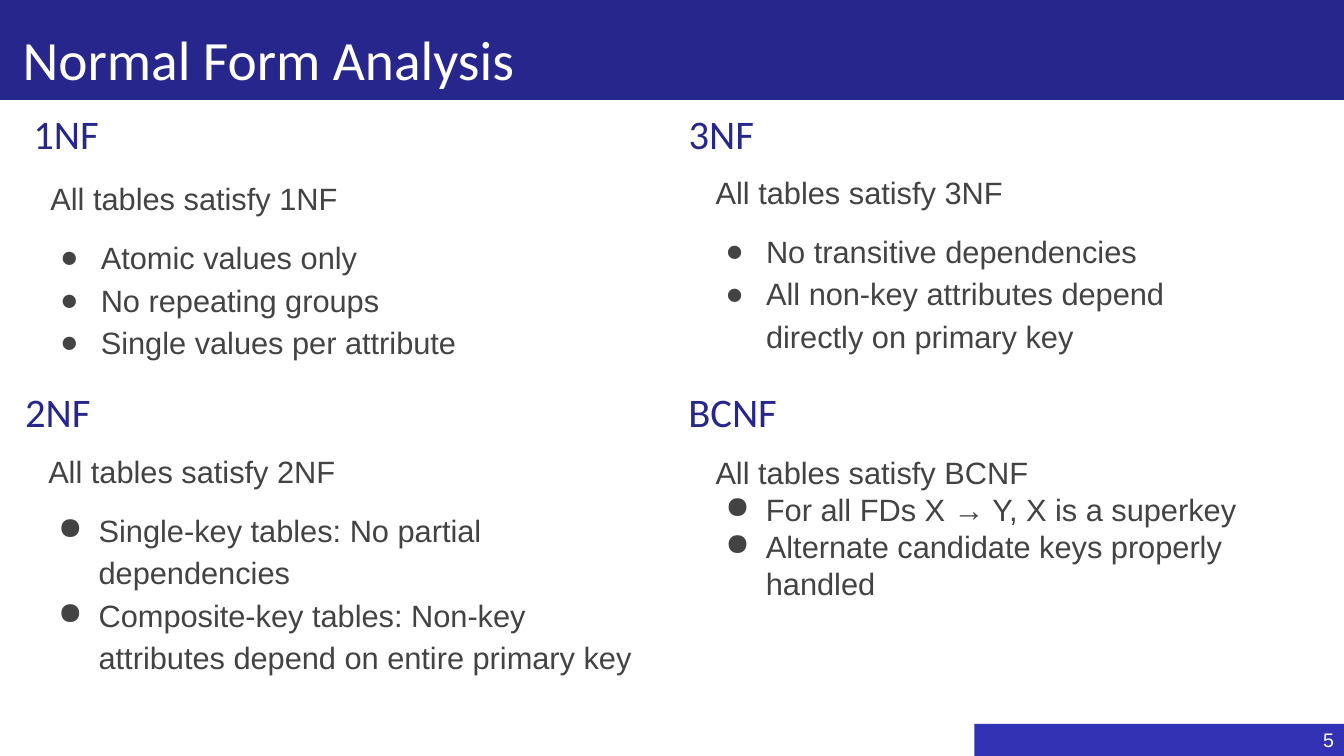
from dataclasses import dataclass

from lxml.etree import SubElement
from pptx import Presentation
from pptx.dml.color import RGBColor
from pptx.enum.shapes import MSO_SHAPE
from pptx.enum.text import MSO_ANCHOR, MSO_AUTO_SIZE, PP_ALIGN
from pptx.oxml.ns import qn
from pptx.util import Pt


@dataclass(frozen=True)
class Theme:
    navy: RGBColor = RGBColor(0x26, 0x26, 0x8C)
    indigo: RGBColor = RGBColor(0x33, 0x31, 0xB4)
    gray: RGBColor = RGBColor(0x43, 0x43, 0x43)
    white: RGBColor = RGBColor(0xFF, 0xFF, 0xFF)
    heading_font: str = "Calibri"
    body_font: str = "Arial"
    title_size: float = 39.6
    heading_size: float = 29
    body_size: float = 22
    number_size: float = 14


THEME = Theme()
WIDTH, HEIGHT = 960, 540

# Heading, heading box, list box, list line spacing, space before list, lines
SECTIONS = [
    ("1NF", (16.6, 70.6, 118.8, 58.3), (28.8, 121, 384.5, 141), 1.15, 12,
     ["All tables satisfy 1NF", "Atomic values only", "No repeating groups",
      "Single values per attribute"]),
    ("3NF", (484.6, 70.6, 196.6, 58.3), (504, 116.6, 376.6, 190), 1.15, 12,
     ["All tables satisfy 3NF", "No transitive dependencies",
      "All non-key attributes depend directly on primary key"]),
    ("2NF", (10.8, 269.3, 351.4, 47.5), (27.4, 316, 444.2, 214.6), 1.15, 12,
     ["All tables satisfy 2NF",
      "Single-key tables: No partial dependencies",
      "Composite-key tables: Non-key attributes depend on entire primary key"]),
    ("BCNF", (484.6, 269.3, 196.6, 47.5), (504, 316.8, 456, 121), 1, 0,
     ["All tables satisfy BCNF", "For all FDs X → Y, X is a superkey",
      "Alternate candidate keys properly handled"]),
]


def place(shape, box):
    shape.left, shape.top, shape.width, shape.height = map(Pt, box)


def set_frame(text_frame, margins, anchor):
    text_frame.word_wrap = True
    text_frame.auto_size = MSO_AUTO_SIZE.NONE
    text_frame.vertical_anchor = anchor
    (text_frame.margin_left, text_frame.margin_top,
     text_frame.margin_right, text_frame.margin_bottom) = map(Pt, margins)


def style_paragraph(paragraph, font, size, color, align=PP_ALIGN.LEFT,
                    spacing=1, before=0):
    paragraph.alignment = align
    paragraph.line_spacing = spacing
    paragraph.space_before = Pt(before)
    for run in paragraph.runs:
        run.font.name = font
        run.font.size = Pt(size)
        run.font.bold = False
        run.font.color.rgb = color


def set_bullet(paragraph, bulleted):
    properties = paragraph._p.get_or_add_pPr()
    properties.set("marL", str(Pt(36 if bulleted else 0)))
    properties.set("indent", str(Pt(-29 if bulleted else 0)))
    if bulleted:
        color = SubElement(properties, qn("a:buClr"))
        SubElement(color, qn("a:srgbClr"), val=str(THEME.gray))
        SubElement(properties, qn("a:buChar"), char="●")
    else:
        SubElement(properties, qn("a:buNone"))


def fill_title(shape, text):
    place(shape, (0, 0, WIDTH, 71.3))
    shape.fill.solid()
    shape.fill.fore_color.rgb = THEME.navy
    shape.text_frame.text = text
    set_frame(shape.text_frame, (16.2, 21.6, 7.2, 3.6), MSO_ANCHOR.MIDDLE)
    style_paragraph(shape.text_frame.paragraphs[0], THEME.heading_font,
                    THEME.title_size, THEME.white, spacing=0.9)


def fill_heading(shape, text, box):
    place(shape, box)
    shape.text_frame.text = text
    set_frame(shape.text_frame, (7.2,) * 4, MSO_ANCHOR.TOP)
    paragraph = shape.text_frame.paragraphs[0]
    set_bullet(paragraph, False)
    style_paragraph(paragraph, THEME.heading_font, THEME.heading_size, THEME.navy)


def fill_list(shape, lines, box, spacing, gap):
    place(shape, box)
    shape.text_frame.text = "\n".join(lines)
    set_frame(shape.text_frame, (7.2,) * 4, MSO_ANCHOR.TOP)
    for index, paragraph in enumerate(shape.text_frame.paragraphs):
        set_bullet(paragraph, index > 0)
        style_paragraph(paragraph, THEME.body_font, THEME.body_size, THEME.gray,
                        spacing=spacing if index else 1,
                        before=gap if index == 1 else 0)


def add_page_number(slide, number):
    shape = slide.shapes.add_shape(MSO_SHAPE.RECTANGLE, Pt(696), Pt(517),
                                   Pt(264), Pt(23))
    shape.shadow.inherit = False
    shape.fill.solid()
    shape.fill.fore_color.rgb = THEME.indigo
    shape.line.fill.background()
    shape.text_frame.text = number
    set_frame(shape.text_frame, (7.2, 3.6, 7.2, 3.6), MSO_ANCHOR.MIDDLE)
    style_paragraph(shape.text_frame.paragraphs[0], THEME.body_font,
                    THEME.number_size, THEME.white, PP_ALIGN.RIGHT)


def main():
    presentation = Presentation()
    presentation.slide_width, presentation.slide_height = Pt(WIDTH), Pt(HEIGHT)
    comparison_layout = presentation.slide_layouts[4]
    slide = presentation.slides.add_slide(comparison_layout)

    # Title band and page number
    fill_title(slide.shapes.title, "Normal Form Analysis")
    add_page_number(slide, "5")

    # The layout holds the upper two sections; text boxes hold the lower two
    holders = [slide.placeholders[index] for index in range(1, 5)]
    holders += [slide.shapes.add_textbox(0, 0, 0, 0) for _ in range(4)]
    pairs = zip(holders[::2], holders[1::2])
    for (heading, body), section in zip(pairs, SECTIONS):
        name, heading_box, list_box, spacing, gap, lines = section
        fill_heading(heading, name, heading_box)
        fill_list(body, lines, list_box, spacing, gap)

    presentation.save("out.pptx")


if __name__ == "__main__":
    main()
